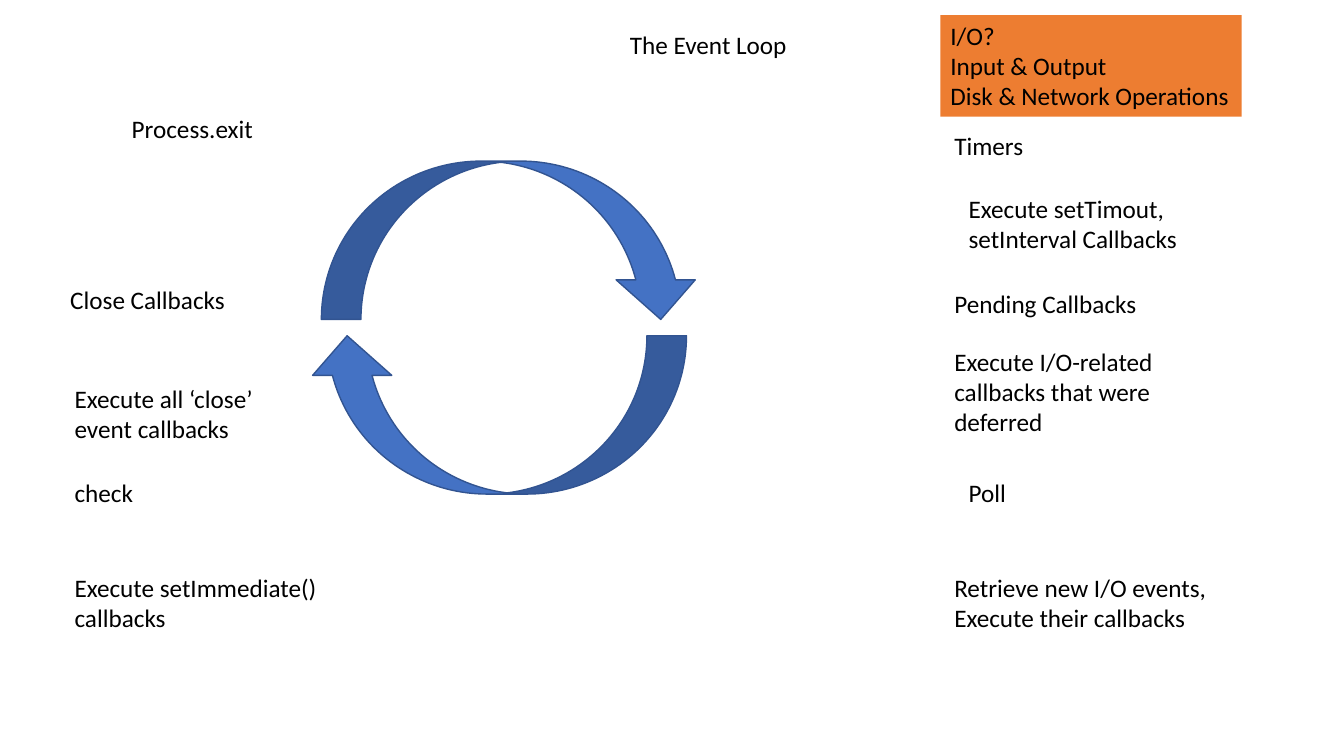
from dataclasses import dataclass

from pptx import Presentation
from pptx import util as u
from pptx.dml.color import RGBColor
from pptx.enum import shapes, text
from pptx.shapes.autoshape import Shape
from pptx.slide import Slide


@dataclass(frozen=True)
class Theme:
    font: str = "Calibri"
    size: float = 18
    ink: RGBColor = RGBColor(0x00, 0x00, 0x00)
    arrow: RGBColor = RGBColor(0x44, 0x72, 0xC4)
    outline: RGBColor = RGBColor(0x32, 0x54, 0x91)
    highlight: RGBColor = RGBColor(0xED, 0x7D, 0x31)


@dataclass(frozen=True)
class Label:
    """A text block; lengths in centimetres, rows as displayed."""
    left: float
    top: float
    width: float
    paragraphs: tuple[str, ...]
    rows: int = 1
    wrap: bool = False

    @property
    def height(self) -> float:
        return 0.25 + 0.77 * self.rows


@dataclass(frozen=True)
class LoopArrow:
    left: float
    top: float
    rotation: float


THEME = Theme()
ARROW_WIDTH, ARROW_HEIGHT = 9.55, 3.99

# Columns and rows shared by the two sides of the loop
LEFT, RIGHT, RIGHT_INDENT = 1.63, 23.8, 24.16
POLL_ROW, DETAIL_ROW = 11.91, 14.3

TITLE = Label(15.62, 0.61, 4.52, ("The Event Loop",))
IO_BOX = Label(23.7, 0.38, 7.59,
               ("I/O?", "Input & Output", "Disk & Network Operations"), 3)
ARROWS = (LoopArrow(8.1, 4.06, 0), LoopArrow(7.75, 8.46, 180))
PHASES = (
    # Right side: timers to poll
    Label(RIGHT, 3.15, 2.26, ("Timers",)),
    Label(RIGHT_INDENT, 4.75, 5.92,
          ("Execute setTimout, setInterval Callbacks",), 2, True),
    Label(RIGHT, 7.14, 5.92, ("Pending Callbacks",), wrap=True),
    Label(RIGHT, 8.59, 7.29,
          ("Execute I/O-related callbacks that were deferred",), 3, True),
    Label(RIGHT_INDENT, POLL_ROW, 1.47, ("Poll",)),
    Label(RIGHT, DETAIL_ROW, 7.09,
          ("Retrieve new I/O events,", "Execute their callbacks"), 2),
    # Left side: check to exit
    Label(LEFT, DETAIL_ROW, 6.68, ("Execute setImmediate()", "callbacks"), 2),
    Label(LEFT, POLL_ROW, 2.01, ("check",)),
    Label(LEFT, 9.53, 5.23, ("Execute all ‘close’ event callbacks",), 2, True),
    Label(1.52, 7.04, 5.23, ("Close Callbacks",), wrap=True),
    Label(3.07, 2.74, 5.23, ("Process.exit",), wrap=True),
)


def place_label(shape: Shape, label: Label) -> None:
    """Position a shape and write its paragraphs."""
    shape.left, shape.top = u.Cm(label.left), u.Cm(label.top)
    shape.width, shape.height = u.Cm(label.width), u.Cm(label.height)
    frame = shape.text_frame
    frame.word_wrap = label.wrap
    frame.auto_size = text.MSO_AUTO_SIZE.SHAPE_TO_FIT_TEXT
    frame.vertical_anchor = text.MSO_ANCHOR.TOP
    for index, words in enumerate(label.paragraphs):
        paragraph = frame.add_paragraph() if index else frame.paragraphs[0]
        paragraph.alignment = text.PP_ALIGN.LEFT
        run = paragraph.add_run()
        run.text = words
        run.font.name = THEME.font
        run.font.size = u.Pt(THEME.size)
        run.font.color.rgb = THEME.ink


def add_arrow(slide: Slide, arrow: LoopArrow) -> None:
    shape = slide.shapes.add_shape(
        shapes.MSO_SHAPE.CURVED_DOWN_ARROW, u.Cm(arrow.left), u.Cm(arrow.top),
        u.Cm(ARROW_WIDTH), u.Cm(ARROW_HEIGHT))
    shape.rotation = arrow.rotation
    shape.shadow.inherit = False
    shape.fill.solid()
    shape.fill.fore_color.rgb = THEME.arrow
    shape.line.color.rgb = THEME.outline
    shape.line.width = u.Pt(1)


def add_label(slide: Slide, label: Label) -> Shape:
    shape = slide.shapes.add_textbox(0, 0, 0, 0)
    place_label(shape, label)
    return shape


def main() -> None:
    presentation = Presentation()
    presentation.slide_width = u.Cm(33.87)
    presentation.slide_height = u.Cm(19.05)
    slide = presentation.slides.add_slide(presentation.slide_layouts[5])

    # Title
    place_label(slide.shapes.title, TITLE)

    # Loop
    for arrow in ARROWS:
        add_arrow(slide, arrow)

    # Phases
    for phase in PHASES:
        add_label(slide, phase)

    # I/O definition
    io_box = add_label(slide, IO_BOX)
    io_box.fill.solid()
    io_box.fill.fore_color.rgb = THEME.highlight

    presentation.save("out.pptx")


if __name__ == "__main__":
    main()
